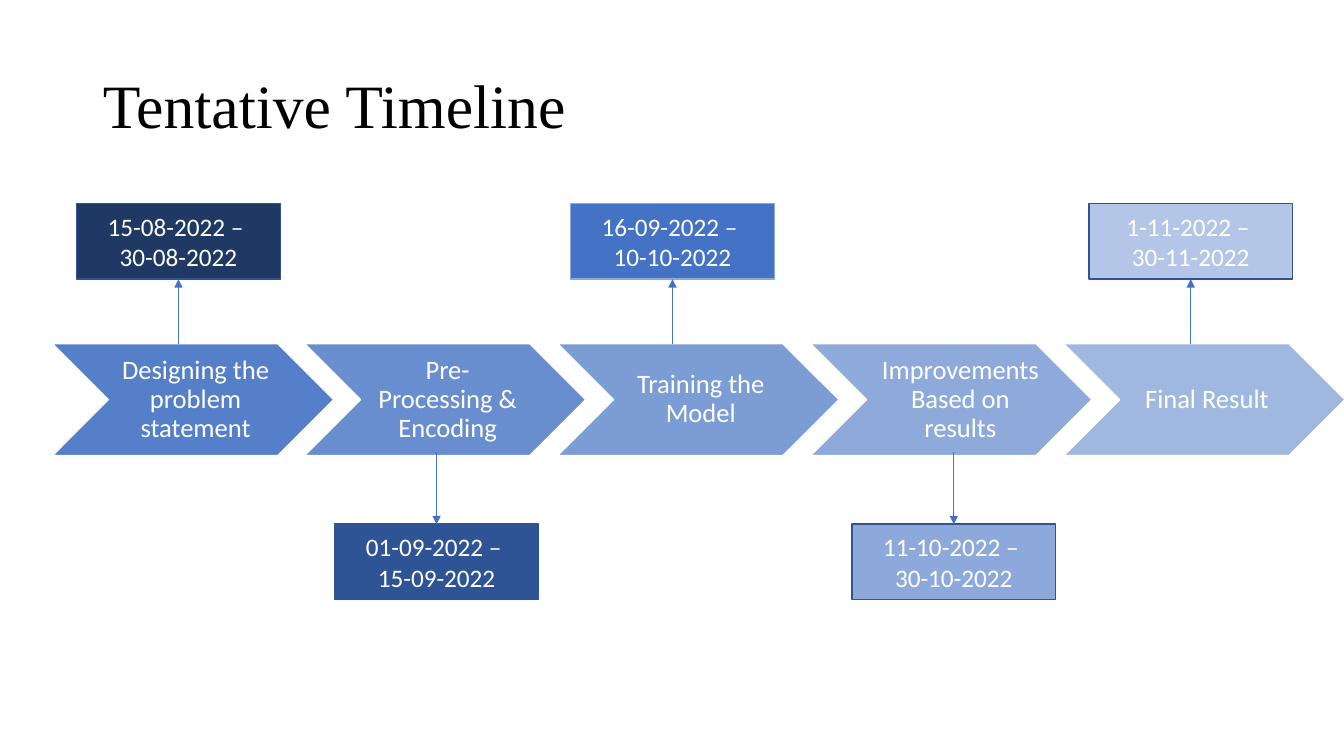
from lxml.etree import SubElement
from pptx import Presentation
from pptx.dml.color import RGBColor
from pptx.enum.shapes import MSO_CONNECTOR, MSO_SHAPE
from pptx.enum.text import MSO_ANCHOR, MSO_AUTO_SIZE, PP_ALIGN
from pptx.oxml.ns import qn
from pptx.util import Pt

PX = 9144  # 100 px to the inch
COLOURS = {
    "black": "000000", "white": "FFFFFF", "chevron": "4372C3",
    "arrow": "4472C4", "edge": "31538F", "navy": "1F3864",
    "dark": "2F5496", "mid": "4472C4", "soft": "8DA9DB", "pale": "B3C6E7",
}


def colour(name):
    return RGBColor.from_string(COLOURS[name])


def write(shape, lines, font, size, ink, align, spacing, insets):
    """Fill a shape with one paragraph per line; insets run left, top, right, bottom."""
    frame = shape.text_frame
    frame_format = {"word_wrap": True, "auto_size": MSO_AUTO_SIZE.NONE,
                    "vertical_anchor": MSO_ANCHOR.MIDDLE}
    for side, inset in zip(("left", "top", "right", "bottom"), insets):
        frame_format[f"margin_{side}"] = inset * PX
    for name, value in frame_format.items():
        setattr(frame, name, value)
    frame.text = "\n".join(lines)
    for para in frame.paragraphs:
        para.alignment = align
        para.line_spacing = spacing
        for span in para.runs:
            span.font.name = font
            span.font.size = Pt(size)
            span.font.color.rgb = colour(ink)


deck = Presentation()
deck.slide_width, deck.slide_height = 1333 * PX, 750 * PX
page = deck.slides.add_slide(deck.slide_layouts[5])

title = page.shapes.title
title_place = {"left": 92, "top": 35, "width": 1150, "height": 145}
for name, value in title_place.items():
    setattr(title, name, value * PX)
write(title, ["Tentative Timeline"], "Times New Roman", 44, "black",
      PP_ALIGN.LEFT, 0.9, (10, 5, 10, 5))

# Row of chevrons, fading from left to right
CHEVRON_TOP, CHEVRON_WIDTH, CHEVRON_HEIGHT = 341, 279, 111
stages = [
    ("Designing the problem statement", 167),
    ("Pre-Processing & Encoding", 167),
    ("Training the Model", 167),
    ("Improvements Based on results", 180),
    ("Final Result", 167),
]
timeline = page.shapes.add_group_shape()
for step, (stage, label_width) in enumerate(stages):
    left = 52 + step * 1003 // 4
    chevron = timeline.shapes.add_shape(
        MSO_SHAPE.CHEVRON, left * PX, CHEVRON_TOP * PX,
        CHEVRON_WIDTH * PX, CHEVRON_HEIGHT * PX)
    chevron.shadow.inherit = False
    chevron.fill.solid()
    chevron.fill.fore_color.rgb = colour("chevron")
    fill_colour = chevron.fill._xPr.find(qn("a:solidFill"))[0]
    SubElement(fill_colour, qn("a:alpha"), val=str(90000 - step * 10000))
    chevron.line.color.rgb = colour("white")
    chevron.line.width = Pt(1)

    label = timeline.shapes.add_textbox(
        (left + 56) * PX, CHEVRON_TOP * PX, label_width * PX, CHEVRON_HEIGHT * PX)
    write(label, [stage], "Calibri", 19, "white", PP_ALIGN.CENTER, 0.9, (8, 3, 3, 3))

# Date boxes, alternately above and below the chevrons
BOX_WIDTH, BOX_HEIGHT = 202, 75
UPPER = {"top": 202, "arrow_start": 341, "site": 2}
LOWER = {"top": 520, "arrow_start": 448, "site": 0}
periods = [
    (76, UPPER, "navy", "edge", ["15-08-2022 – ", "30-08-2022"]),
    (332, LOWER, "dark", "edge", ["01-09-2022 – ", "15-09-2022"]),
    (566, UPPER, "mid", "soft", ["16-09-2022 – ", "10-10-2022"]),
    (845, LOWER, "soft", "edge", ["11-10-2022 – ", "30-10-2022"]),
    (1080, UPPER, "pale", "edge", ["1-11-2022 – ", "30-11-2022"]),
]
for left, row, fill, edge, dates in periods:
    box = page.shapes.add_shape(
        MSO_SHAPE.RECTANGLE, left * PX, row["top"] * PX,
        BOX_WIDTH * PX, BOX_HEIGHT * PX)
    box.shadow.inherit = False
    box.fill.solid()
    box.fill.fore_color.rgb = colour(fill)
    box.line.color.rgb = colour(edge)
    box.line.width = Pt(1)
    write(box, dates, "Calibri", 18, "white", PP_ALIGN.CENTER, 1.0, (10, 5, 10, 5))

    centre = (left + BOX_WIDTH // 2) * PX
    start = row["arrow_start"] * PX
    arrow = page.shapes.add_connector(
        MSO_CONNECTOR.STRAIGHT, centre, start, centre, row["top"] * PX)
    arrow.end_connect(box, row["site"])
    arrow.line.color.rgb = colour("arrow")
    arrow.line.width = Pt(0.75)
    SubElement(arrow.line._get_or_add_ln(), qn("a:tailEnd"), type="triangle")
    SubElement(arrow._element.spPr, qn("a:effectLst"))

deck.save("out.pptx")
